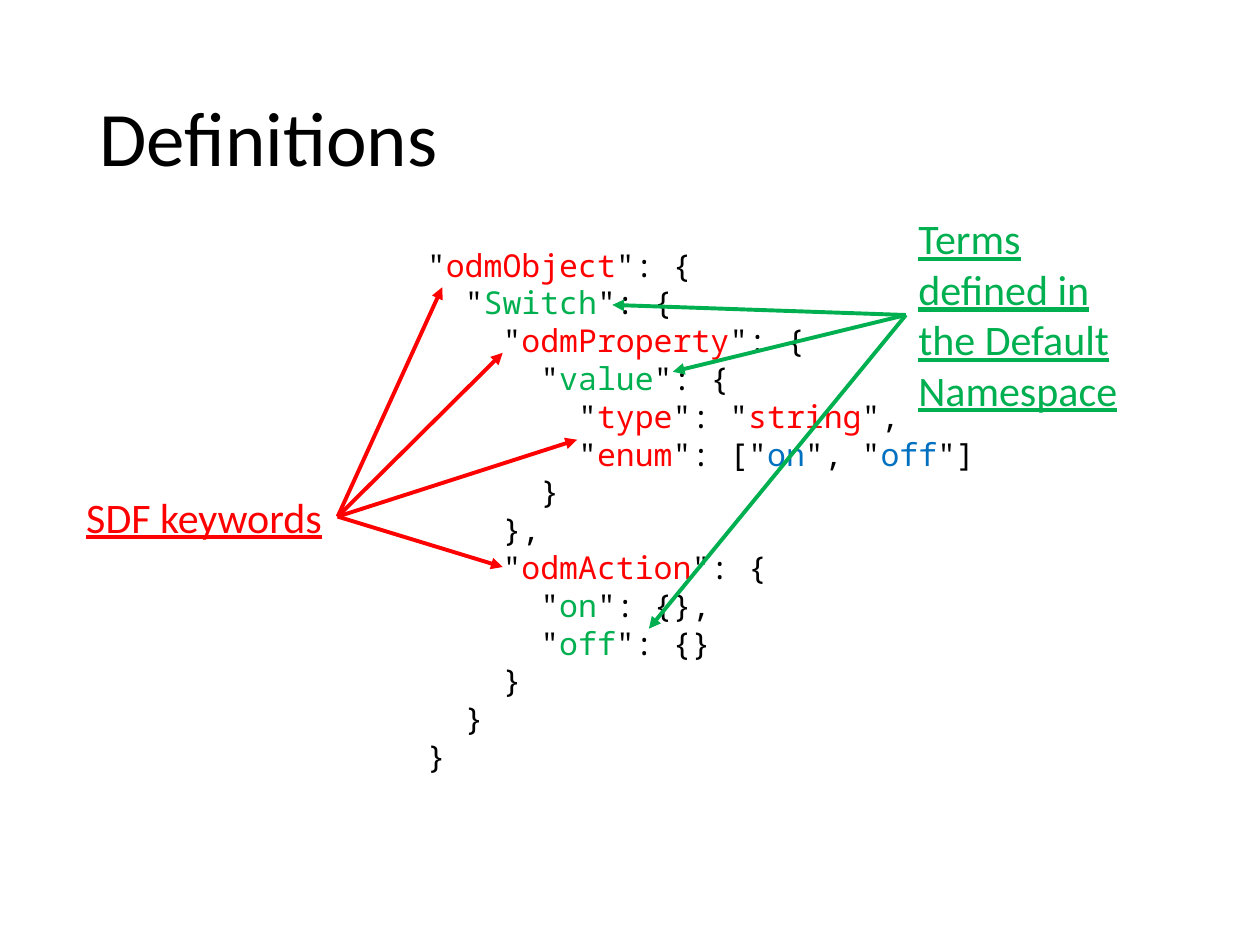
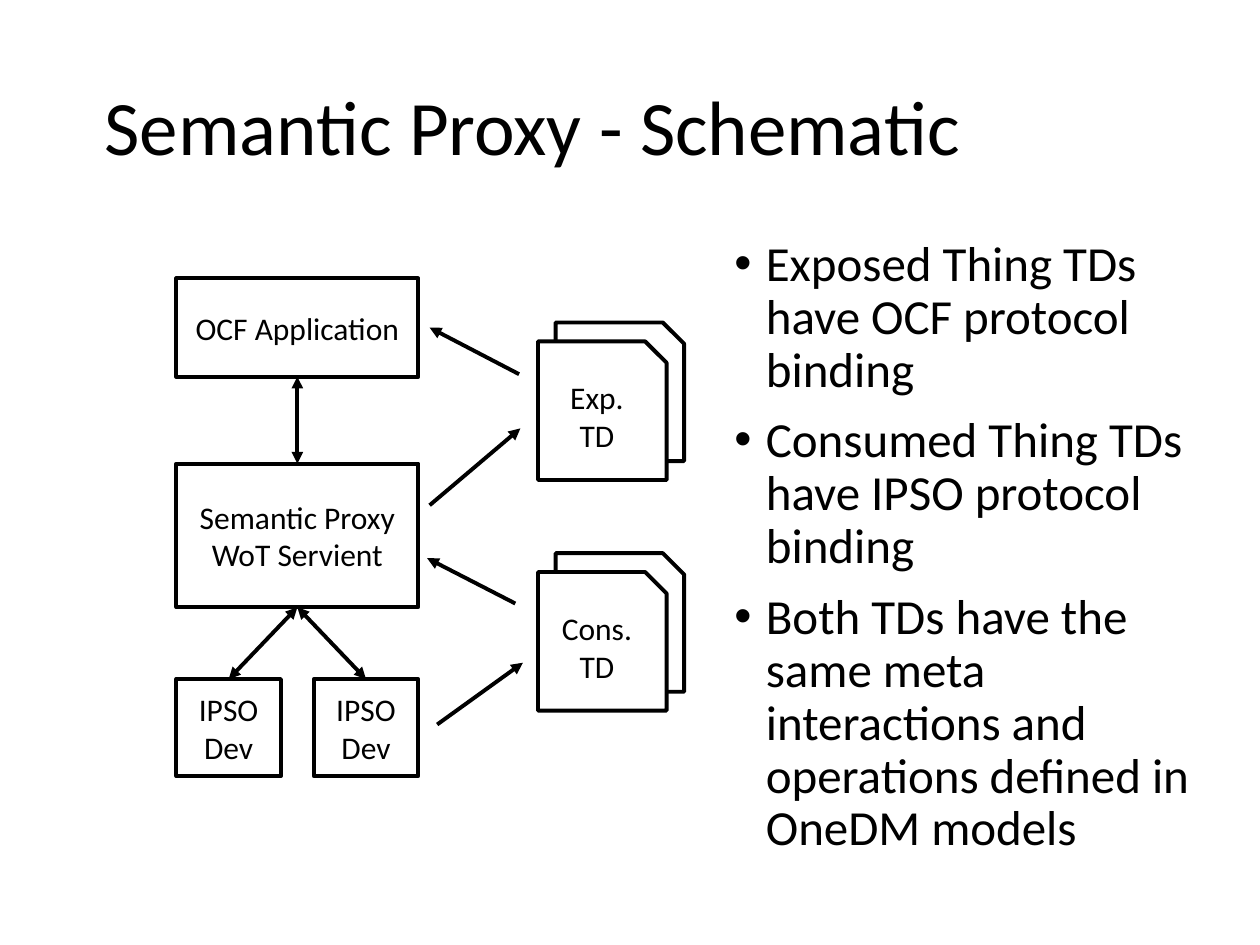
from dataclasses import dataclass

from lxml.etree import SubElement
from pptx import Presentation
from pptx.dml.color import RGBColor
from pptx.enum.shapes import MSO_CONNECTOR as Connector, MSO_SHAPE as Shape
from pptx.enum.text import MSO_ANCHOR as Anchor, MSO_AUTO_SIZE as AutoSize, PP_ALIGN as Align
from pptx.oxml.ns import qn
from pptx.util import Inches, Pt


@dataclass(frozen=True)
class Theme:
    """Colours, fonts and sizes that the slides share."""
    ink: str = "000000"
    paper: str = "FFFFFF"
    keyword: str = "FF0000"
    term: str = "00B050"
    value: str = "0070C0"
    font: str = "Calibri"
    code_font: str = "Noto Sans Mono"
    title_size: int = 44
    bullet_size: int = 28
    label_size: int = 24
    text_size: int = 18
    line_width: float = 2.25
    line_spacing: float = 0.9


@dataclass(frozen=True)
class Box:
    """A rectangle in inches."""
    left: float
    top: float
    width: float
    height: float

    def inside(self, left, top, width, height):
        """Return a box placed relative to this one."""
        return Box(self.left + left, self.top + top, width, height)

    def point(self, x, y):
        """Return the slide position of a point in this box."""
        return self.left + x, self.top + y

    def lengths(self):
        """Return left, top, width and height as lengths."""
        return [Inches(n) for n in (self.left, self.top, self.width, self.height)]


THEME = Theme()
TITLE_SIZE = (8.62, 1.45)
BACK_SHEET_SHIFT = (0.14, -0.15)
CODE_INDENT = 0.3
CODE = [
    (0, '"|odmObject|": {', [THEME.keyword]),
    (1, '"|Switch|": {', [THEME.term]),
    (2, '"|odmProperty|": {', [THEME.keyword]),
    (3, '"|value|": {', [THEME.term]),
    (4, '"|type|": "|string|",', [THEME.keyword, THEME.keyword]),
    (4, '"|enum|": ["|on|", "|off|"]', [THEME.keyword, THEME.value, THEME.value]),
    (3, "}", []),
    (2, "},", []),
    (2, '"|odmAction|": {', [THEME.keyword]),
    (3, '"|on|": {},', [THEME.term]),
    (3, '"|off|": {}', [THEME.term]),
    (2, "}", []),
    (1, "}", []),
    (0, "}", []),
]
BULLETS = [
    "Exposed Thing TDs have OCF protocol binding",
    "Consumed Thing TDs have IPSO protocol binding",
    "Both TDs have the same meta interactions and operations defined in OneDM models",
]


def add_run(paragraph, text, size, color=THEME.ink, font=THEME.font, underline=None):
    """Append one formatted run."""
    run = paragraph.add_run()
    run.text = text
    run.font.name = font
    run.font.size = Pt(size)
    run.font.underline = underline
    run.font.color.rgb = RGBColor.from_string(color)


def add_paragraphs(frame, count):
    """Return the first paragraph of a frame and as many new ones as needed."""
    return [frame.paragraphs[0]] + [frame.add_paragraph() for _ in range(count - 1)]


def add_text_box(slide, box):
    """Add an empty wrapping text box."""
    text_box = slide.shapes.add_textbox(*box.lengths())
    text_box.text_frame.word_wrap = True
    return text_box


def add_titled_slide(presentation, title, left, top):
    """Add a title-only slide with its title set and placed."""
    slide = presentation.slides.add_slide(presentation.slide_layouts[5])
    shape = slide.shapes.title
    shape.left, shape.top, shape.width, shape.height = Box(left, top, *TITLE_SIZE).lengths()
    frame = shape.text_frame
    frame.auto_size = AutoSize.NONE
    frame.vertical_anchor = Anchor.MIDDLE
    paragraph = frame.paragraphs[0]
    paragraph.alignment = Align.LEFT
    paragraph.line_spacing = THEME.line_spacing
    add_run(paragraph, title, THEME.title_size)
    return slide


def add_arrow(slide, start, end, color=THEME.ink, both_ends=False):
    """Draw an arrow between points or (shape, side) pairs."""
    ends = [(0, 0) if hasattr(place[0], "shape_id") else place for place in (start, end)]
    connector = slide.shapes.add_connector(
        Connector.STRAIGHT, *[Inches(n) for place in ends for n in place])
    if hasattr(start[0], "shape_id"):
        connector.begin_connect(*start)
    if hasattr(end[0], "shape_id"):
        connector.end_connect(*end)
    connector.line.color.rgb = RGBColor.from_string(color)
    connector.line.width = Pt(THEME.line_width)
    line = connector.line._get_or_add_ln()
    for tag in ("a:headEnd", "a:tailEnd")[0 if both_ends else 1:]:
        SubElement(line, qn(tag), type="triangle")
    SubElement(connector.element.spPr, qn("a:effectLst"))


def add_node(slide, box, lines=(), kind=Shape.RECTANGLE, fill=None):
    """Add an outlined shape with centred lines of text."""
    shape = slide.shapes.add_shape(kind, *box.lengths())
    shape.shadow.inherit = False
    if fill:
        shape.fill.solid()
        shape.fill.fore_color.rgb = RGBColor.from_string(fill)
    else:
        shape.fill.background()
    shape.line.color.rgb = RGBColor.from_string(THEME.ink)
    shape.line.width = Pt(THEME.line_width)
    frame = shape.text_frame
    frame.word_wrap = True
    frame.vertical_anchor = Anchor.MIDDLE
    if lines:
        for paragraph, text in zip(add_paragraphs(frame, len(lines)), lines):
            paragraph.alignment = Align.CENTER
            add_run(paragraph, text, THEME.text_size)
    return shape


def add_code(slide, box):
    """Write the definition listing with coloured names."""
    frame = add_text_box(slide, box).text_frame
    for paragraph, (depth, text, colors) in zip(add_paragraphs(frame, len(CODE)), CODE):
        paragraph._p.get_or_add_pPr().set("marL", str(Inches(CODE_INDENT * depth)))
        names = iter(colors)
        for index, piece in enumerate(text.split("|")):
            color = next(names) if index % 2 else THEME.ink
            add_run(paragraph, piece, THEME.text_size, color, THEME.code_font)


def add_callout(slide, box, text, color, side, targets, alignment=Align.LEFT):
    """Add an underlined label with arrows from one side to its targets."""
    label = add_text_box(slide, box)
    paragraph = label.text_frame.paragraphs[0]
    paragraph.alignment = alignment
    add_run(paragraph, text, THEME.label_size, color, underline=True)
    for target in targets:
        add_arrow(slide, (label, side), box.point(*target), color)


def add_sheets(slide, box, lines):
    """Add a description document in front of a second sheet."""
    back = box.inside(*BACK_SHEET_SHIFT, box.width, box.height)
    add_node(slide, back, kind=Shape.SNIP_1_RECTANGLE)
    add_node(slide, box, lines, Shape.SNIP_1_RECTANGLE, THEME.paper)


def add_schematic(slide, box):
    """Draw the application, proxy, devices and documents with their arrows."""
    application = add_node(slide, box.inside(0, 0, 1.92, 0.78), ["OCF Application"])
    proxy = add_node(slide, box.inside(0, 1.47, 1.92, 1.14), ["Semantic Proxy", "WoT Servient"])
    devices = [add_node(slide, box.inside(left, 3.18, 0.83, 0.77), ["IPSO Dev"])
               for left in (0, 1.09)]
    add_sheets(slide, box.inside(2.87, 2.33, 1.02, 1.1), ["Cons. TD"])
    add_sheets(slide, box.inside(2.87, 0.5, 1.02, 1.1), ["Exp.", "TD"])
    for start, end in [((2.01, 1.8), (2.73, 1.19)), ((2.72, 0.76), (2.01, 0.39)),
                       ((2.07, 3.54), (2.75, 3.05)), ((2.69, 2.58), (1.99, 2.22))]:
        add_arrow(slide, box.point(*start), box.point(*end))
    add_arrow(slide, (application, 2), (proxy, 0), both_ends=True)
    for device in devices:
        add_arrow(slide, (proxy, 2), (device, 0), both_ends=True)


def add_bullets(slide, box):
    """Write the bulleted remarks."""
    frame = add_text_box(slide, box).text_frame
    for paragraph, text in zip(add_paragraphs(frame, len(BULLETS)), BULLETS):
        paragraph.line_spacing = THEME.line_spacing
        paragraph.space_before = Pt(10)
        properties = paragraph._p.get_or_add_pPr()
        properties.set("marL", str(Inches(0.25)))
        properties.set("indent", str(Inches(-0.25)))
        SubElement(properties, qn("a:buFont"), typeface="Arial")
        SubElement(properties, qn("a:buChar"), char="•")
        add_run(paragraph, text, THEME.bullet_size)


def build_definitions(presentation):
    """Build the slide that explains the definition listing."""
    slide = add_titled_slide(presentation, "Definitions", 0.69, 0.4)
    add_code(slide, Box(3.29, 1.9, 5, 4.34))
    add_callout(slide, Box(0.56, 3.85, 2.12, 0.5), "SDF keywords", THEME.keyword, 3,
                [(2.95, -1.57), (3.43, -1.05), (4.02, -0.36), (3.43, 0.65)], Align.CENTER)
    add_callout(slide, Box(7.19, 1.64, 2.07, 1.72), "Terms defined in the Default Namespace",
                THEME.term, 1, [(-2.33, 0.78), (-1.85, 1.31), (-2.04, 3.35)])


def build_proxy(presentation):
    """Build the slide with the proxy schematic."""
    slide = add_titled_slide(presentation, "Semantic Proxy - Schematic", 0.73, 0.31)
    add_schematic(slide, Box(1.4, 2.21, 4.03, 3.95))
    add_bullets(slide, Box(5.73, 1.85, 3.85, 5.06))


def main():
    """Build and save the presentation."""
    presentation = Presentation()
    presentation.slide_width, presentation.slide_height = Inches(10), Inches(7.5)
    build_definitions(presentation)
    build_proxy(presentation)
    presentation.save("out.pptx")


if __name__ == "__main__":
    main()
